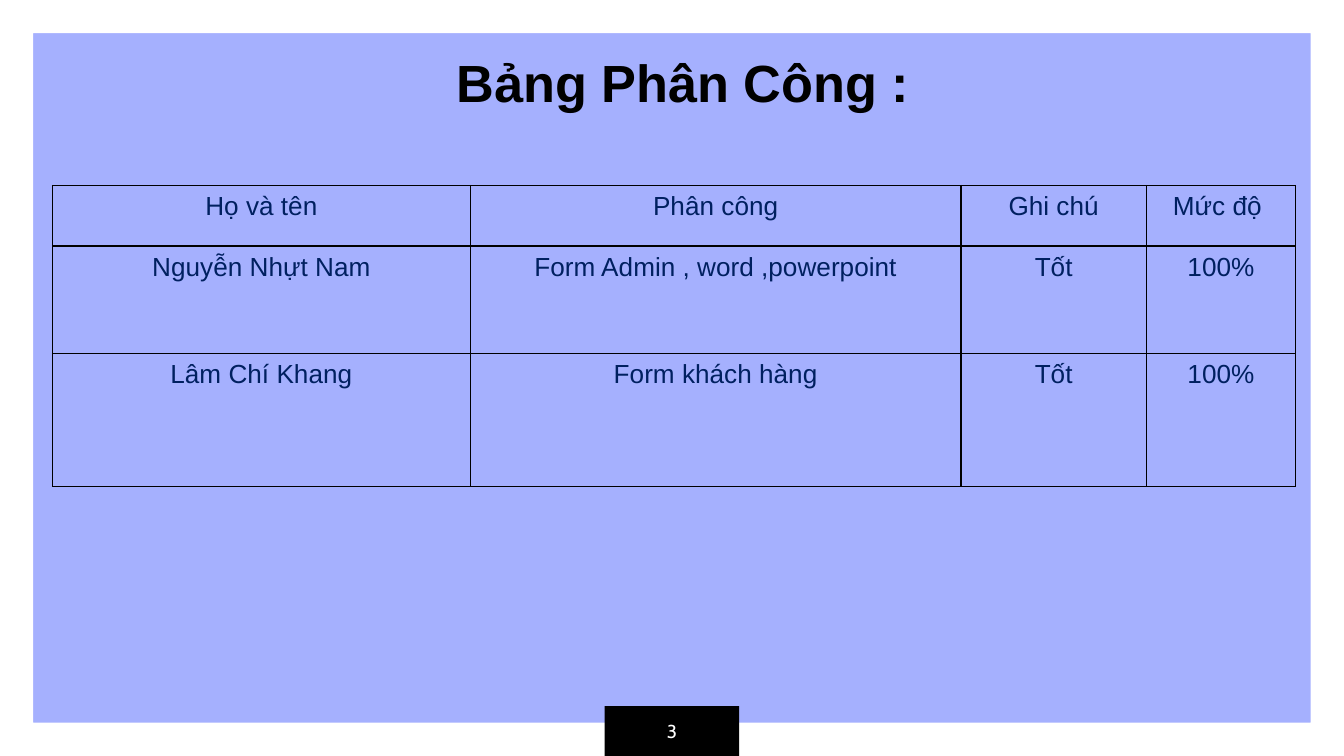
from lxml import etree
from pptx import Presentation, util as u
from pptx.dml.color import RGBColor
from pptx.enum import shapes, text
from pptx.oxml import ns

WIDTH = 10
HEIGHT = WIDTH * 9 / 16
COLORS = {
    "background": "A5B0FE",
    "frame": "FFFFFF",
    "badge": "000000",
    "number": "FFFFFF",
    "title": "000000",
    "cell": "002060",
    "border": "000000",
}
COLUMNS = [3.11, 3.65, 1.38, 1.11]
ROWS = [0.45, 0.8, 0.99]
ASSIGNMENTS = [
    ["Họ và tên", "Phân công", "Ghi chú", "Mức độ "],
    ["Nguyễn Nhựt Nam", "Form Admin , word ,powerpoint", "Tốt", "100%"],
    ["Lâm Chí Khang", "Form khách hàng", "Tốt", "100%"],
]


def rgb(name):
    return RGBColor.from_string(COLORS[name])


def write(frame, words, size, color, font="Arial", bold=False, inset=None):
    frame.word_wrap = True
    if inset is not None:
        frame.vertical_anchor = text.MSO_ANCHOR.MIDDLE
        frame.margin_left = frame.margin_right = u.Inches(inset)
        frame.margin_top = frame.margin_bottom = u.Inches(inset)
    paragraph = frame.paragraphs[0]
    paragraph.alignment = text.PP_ALIGN.CENTER
    run = paragraph.add_run()
    run.text = words
    run.font.name = font
    run.font.size = u.Pt(size)
    run.font.bold = bold
    run.font.color.rgb = rgb(color)


def add_block(slide, kind, box, color):
    shape = slide.shapes.add_shape(kind, *map(u.Inches, box))
    shape.shadow.inherit = False
    shape.fill.solid()
    shape.fill.fore_color.rgb = rgb(color)
    shape.line.fill.background()
    return shape


def add_title(slide, words):
    title = slide.shapes.title
    title.left, title.top, title.width, title.height = map(
        u.Inches, (2.77, 0.32, 4.62, 0.58)
    )
    write(title.text_frame, words, size=28, color="title", bold=True, inset=0.1)


def draw_borders(cell, points):
    properties = cell._tc.get_or_add_tcPr()
    for side in ("a:lnL", "a:lnR", "a:lnT", "a:lnB"):
        line = etree.SubElement(properties, ns.qn(side), w=str(u.Pt(points)))
        fill = etree.SubElement(line, ns.qn("a:solidFill"))
        etree.SubElement(fill, ns.qn("a:srgbClr"), val=COLORS["border"])


def add_assignment_table(slide, left, top):
    table = slide.shapes.add_table(
        len(ROWS), len(COLUMNS),
        *map(u.Inches, (left, top, sum(COLUMNS), sum(ROWS))),
    ).table
    table.first_row = table.horz_banding = False
    for column, width in zip(table.columns, COLUMNS):
        column.width = u.Inches(width)
    for row, height, entries in zip(table.rows, ROWS, ASSIGNMENTS):
        row.height = u.Inches(height)
        for cell, words in zip(row.cells, entries):
            draw_borders(cell, 0.75)
            cell.fill.background()
            write(cell.text_frame, words, size=14, color="cell")


def main():
    presentation = Presentation()
    presentation.slide_width = u.Inches(WIDTH)
    presentation.slide_height = u.Inches(HEIGHT)
    slide = presentation.slides.add_slide(presentation.slide_layouts[5])
    slide.background.fill.solid()
    slide.background.fill.fore_color.rgb = rgb("background")

    frame = add_block(
        slide, shapes.MSO_SHAPE.FRAME, (0, 0, WIDTH, HEIGHT), "frame"
    )
    frame.adjustments[0] = 0.04 * 1.1
    badge = add_block(
        slide, shapes.MSO_SHAPE.RECTANGLE,
        (WIDTH * 0.45, HEIGHT - 0.37, WIDTH * 0.1, 0.37), "badge",
    )
    write(badge.text_frame, "3", size=10, color="number", font="Cabin", inset=0.1)
    add_title(slide, "Bảng Phân Công :")
    add_assignment_table(slide, 0.39, 1.38)
    presentation.save("out.pptx")


if __name__ == "__main__":
    main()
